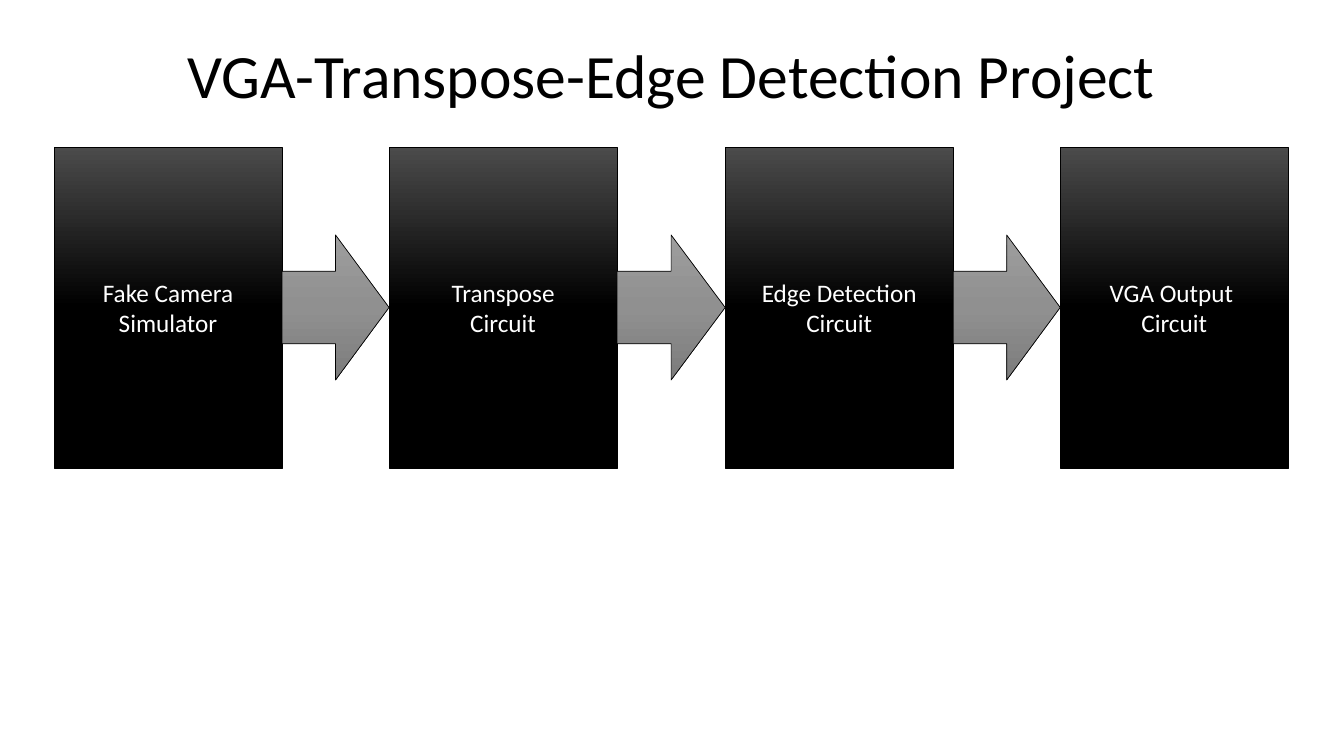
import copy

import pptx
import pptx.dml.color
import pptx.enum.shapes
import pptx.enum.text
import pptx.oxml.ns
import pptx.util

RGBColor = pptx.dml.color.RGBColor
BLACK = RGBColor(0x00, 0x00, 0x00)
WHITE = RGBColor(0xFF, 0xFF, 0xFF)
STAGE_GRADIENT = [RGBColor(0x4B, 0x4B, 0x4B), BLACK, BLACK]
ARROW_GRADIENT = [
    RGBColor(0x9D, 0x9D, 0x9D),
    RGBColor(0x90, 0x90, 0x90),
    RGBColor(0x7C, 0x7C, 0x7C),
]


class SlideBuilder:
    font_name = "Calibri"
    emu_per_pixel = 914400 / 100.8
    outline_width = pptx.util.Pt(0.5)

    def __init__(self, slide):
        self.slide = slide

    def emu(self, pixels):
        return pptx.util.Emu(round(pixels * self.emu_per_pixel))

    def set_text(self, shape, text, size, color, anchor, line_spacing=None):
        text_frame = shape.text_frame
        text_frame.text = text
        text_frame.word_wrap = True
        text_frame.auto_size = pptx.enum.text.MSO_AUTO_SIZE.NONE
        text_frame.vertical_anchor = anchor
        for paragraph in text_frame.paragraphs:
            paragraph.alignment = pptx.enum.text.PP_ALIGN.CENTER
            paragraph.line_spacing = line_spacing
            for run in paragraph.runs:
                run.font.name = self.font_name
                run.font.size = pptx.util.Pt(size)
                run.font.color.rgb = color

    def title(self, text, left, top, width, height):
        shape = self.slide.shapes.title
        shape.left, shape.top = self.emu(left), self.emu(top)
        shape.width, shape.height = self.emu(width), self.emu(height)
        self.set_text(shape, text, 44, BLACK, pptx.enum.text.MSO_ANCHOR.TOP, 0.9)

    def fill_gradient(self, shape, colors):
        shape.fill.gradient()
        shape.fill.gradient_angle = 270
        stop_list = shape._element.spPr.find(".//" + pptx.oxml.ns.qn("a:gsLst"))
        stop_list.append(copy.deepcopy(stop_list[-1]))
        for index, (stop, color) in enumerate(zip(shape.fill.gradient_stops, colors)):
            stop.position = index / (len(colors) - 1)
            stop.color.rgb = color

    def gradient_shape(self, kind, left, top, width, height, colors):
        shape = self.slide.shapes.add_shape(
            kind, self.emu(left), self.emu(top), self.emu(width), self.emu(height)
        )
        shape.shadow.inherit = False
        self.fill_gradient(shape, colors)
        shape.line.color.rgb = BLACK
        shape.line.width = self.outline_width
        return shape

    def stage(self, text, left, top, width, height):
        shape = self.gradient_shape(
            pptx.enum.shapes.MSO_SHAPE.RECTANGLE, left, top, width, height, STAGE_GRADIENT
        )
        self.set_text(shape, text, 18, WHITE, pptx.enum.text.MSO_ANCHOR.MIDDLE)

    def arrow(self, left, top, width, height):
        self.gradient_shape(
            pptx.enum.shapes.MSO_SHAPE.RIGHT_ARROW, left, top, width, height, ARROW_GRADIENT
        )


presentation = pptx.Presentation()
presentation.slide_width = pptx.util.Inches(13.33)
presentation.slide_height = pptx.util.Inches(7.5)
title_only_layout = presentation.slide_layouts[5]
builder = SlideBuilder(presentation.slides.add_slide(title_only_layout))

stages = [
    "Fake Camera Simulator",
    "Transpose\nCircuit",
    "Edge Detection Circuit",
    "VGA Output \nCircuit",
]
first_left, last_left = 54, 1060
stage_top, stage_width, stage_height = 147, 228, 321
arrow_height = 145
arrow_top = stage_top + (stage_height - arrow_height) // 2
stage_lefts = [
    round(first_left + index * (last_left - first_left) / (len(stages) - 1))
    for index in range(len(stages))
]

for text, left in zip(stages, stage_lefts):
    builder.stage(text, left, stage_top, stage_width, stage_height)
for left, next_left in zip(stage_lefts, stage_lefts[1:]):
    arrow_left = left + stage_width
    builder.arrow(arrow_left, arrow_top, next_left - arrow_left, arrow_height)
builder.title("VGA-Transpose-Edge Detection Project", 92, 40, 1159, 146)

presentation.save("out.pptx")
